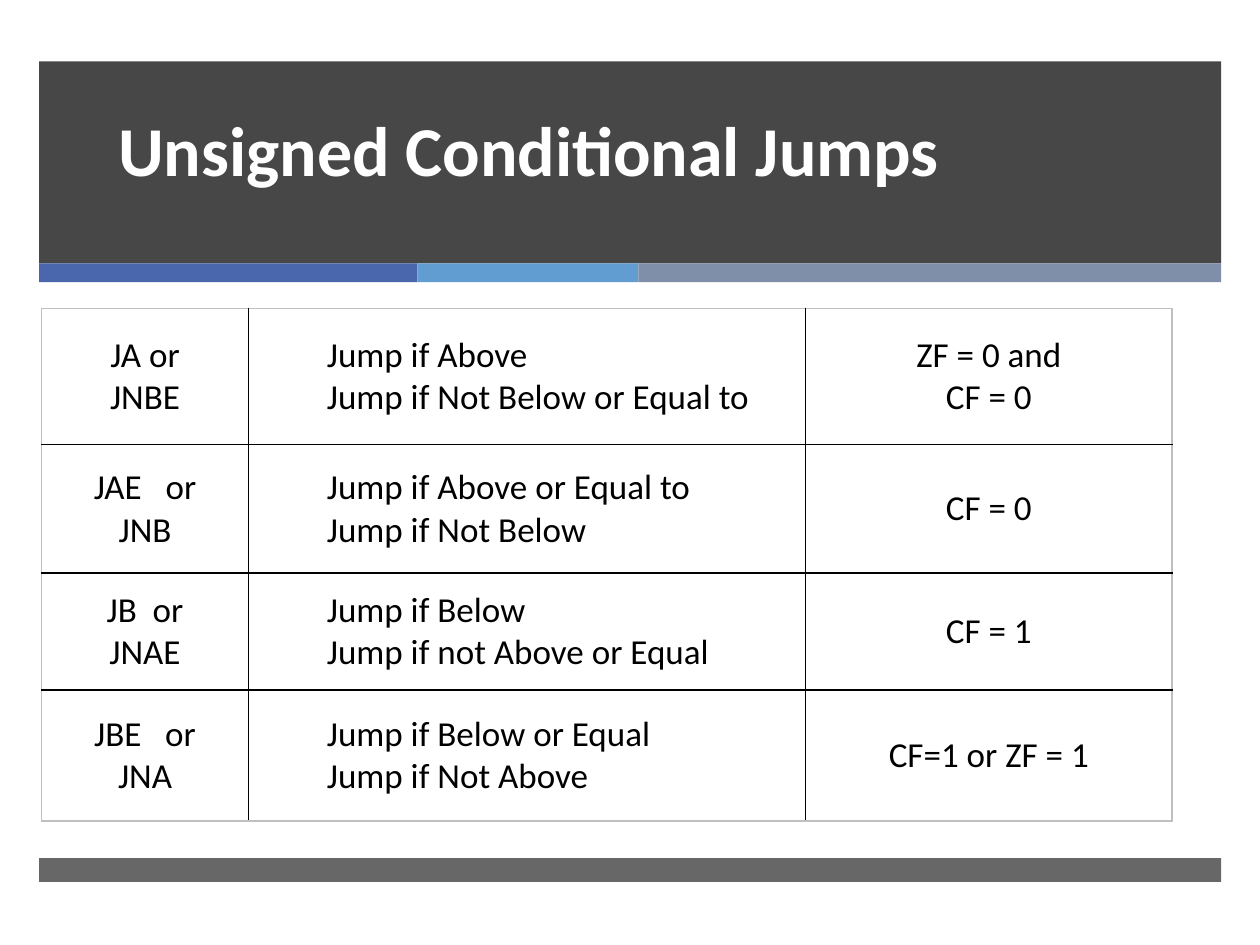
from lxml.etree import SubElement
from pptx import Presentation
from pptx.dml.color import RGBColor
from pptx.enum.shapes import MSO_SHAPE
from pptx.enum.text import MSO_ANCHOR, PP_ALIGN
from pptx.oxml.ns import qn
from pptx.util import Cm, Pt

HUES = {
    "dark": "474747", "foot": "676767", "blue": "4A66AC", "sky": "629DD1",
    "slate": "7F8FA9", "white": "FFFFFF", "ink": "000000", "edge": "BFBFBF",
}
ROWS = [
    (["JA or", "JNBE"], ["Jump if Above", "Jump if Not Below or Equal to"],
     ["ZF = 0 and", "CF = 0"]),
    (["JAE   or", "JNB"], ["Jump if Above or Equal to", "Jump if Not Below"],
     ["CF = 0"]),
    (["JB  or", "JNAE"], ["Jump if Below", "Jump if not Above or Equal"],
     ["CF = 1"]),
    (["JBE   or", "JNA"], ["Jump if Below or Equal", "Jump if Not Above"],
     ["CF=1 or ZF = 1"]),
]
WIDTHS = [4.17, 11.23, 7.39]
HEIGHTS = [2.74, 2.59, 2.36, 2.64]


def tint(name):
    return RGBColor.from_string(HUES[name])


def write(para, text, size, hue, bold=False):
    run = para.add_run()
    run.text = text
    run.font.name = "Calibri"
    run.font.size = Pt(size)
    run.font.bold = bold
    run.font.color.rgb = tint(hue)


def bar(slide, x, y, w, h, hue):
    shape = slide.shapes.add_shape(
        MSO_SHAPE.RECTANGLE, Cm(x), Cm(y), Cm(w), Cm(h))
    shape.shadow.inherit = False
    shape.fill.solid()
    shape.fill.fore_color.rgb = tint(hue)
    shape.line.fill.background()


def banner(slide, x, y, w, h):
    bar(slide, x, y, w, h, "dark")
    left = x
    for part, hue in [(0.32, "blue"), (0.187, "sky"), (0.493, "slate")]:
        bar(slide, left, y + h, w * part, 0.38, hue)
        left += w * part


def heading(slide, x, y, w, h, text):
    title = slide.shapes.title
    title.left, title.top, title.width, title.height = map(Cm, (x, y, w, h))
    slide.shapes._spTree.append(title._element)
    frame = title.text_frame
    frame.word_wrap = True
    frame.vertical_anchor = MSO_ANCHOR.BOTTOM
    frame.margin_right = 0
    frame.margin_bottom = Cm(1.75)
    para = frame.paragraphs[0]
    para.alignment = PP_ALIGN.LEFT
    para.line_spacing = Pt(46)
    write(para, text, 40, "white", True)


def rule(cell, side, hue):
    line = SubElement(cell._tc.get_or_add_tcPr(), qn("a:ln" + side), w=str(Pt(1)))
    fill = SubElement(line, qn("a:solidFill"))
    SubElement(fill, qn("a:srgbClr"), val=HUES[hue])


def fill_cell(cell, lines, listed):
    cell.vertical_anchor = MSO_ANCHOR.MIDDLE
    cell.margin_left = cell.margin_right = Cm(0.15)
    cell.margin_top = cell.margin_bottom = Cm(0.15)
    frame = cell.text_frame
    for i, text in enumerate(lines):
        para = frame.add_paragraph() if i else frame.paragraphs[0]
        para.alignment = PP_ALIGN.LEFT if listed else PP_ALIGN.CENTER
        if listed:
            para._p.get_or_add_pPr().set("marL", str(Cm(1.43)))
        write(para, text, 20, "ink")


def grid(slide, x, y):
    table = slide.shapes.add_table(
        len(ROWS), len(WIDTHS), Cm(x), Cm(y),
        Cm(sum(WIDTHS)), Cm(sum(HEIGHTS))).table
    table.first_row = table.horz_banding = False
    for col, width in zip(table.columns, WIDTHS):
        col.width = Cm(width)
    for row, height in zip(table.rows, HEIGHTS):
        row.height = Cm(height)
    for r, row in enumerate(ROWS):
        for c, lines in enumerate(row):
            cell = table.cell(r, c)
            fill_cell(cell, lines, c == 1)
            outer = {"L": c == 0, "R": c == len(WIDTHS) - 1,
                     "T": r == 0, "B": r == len(ROWS) - 1}
            for side, edge in outer.items():
                rule(cell, side, "edge" if edge else "ink")
            cell.fill.background()


def build():
    deck = Presentation()
    deck.slide_width, deck.slide_height = Cm(25.4), Cm(19.05)
    slide = deck.slides.add_slide(deck.slide_layouts[5])
    banner(slide, 0.79, 1.24, 23.83, 4.07)
    bar(slide, 0.79, 17.3, 23.83, 0.48, "foot")
    heading(slide, 2.13, 2.41, 17.25, 3.18, "Unsigned Conditional Jumps")
    grid(slide, 0.84, 6.22)
    deck.save("out.pptx")


build()
